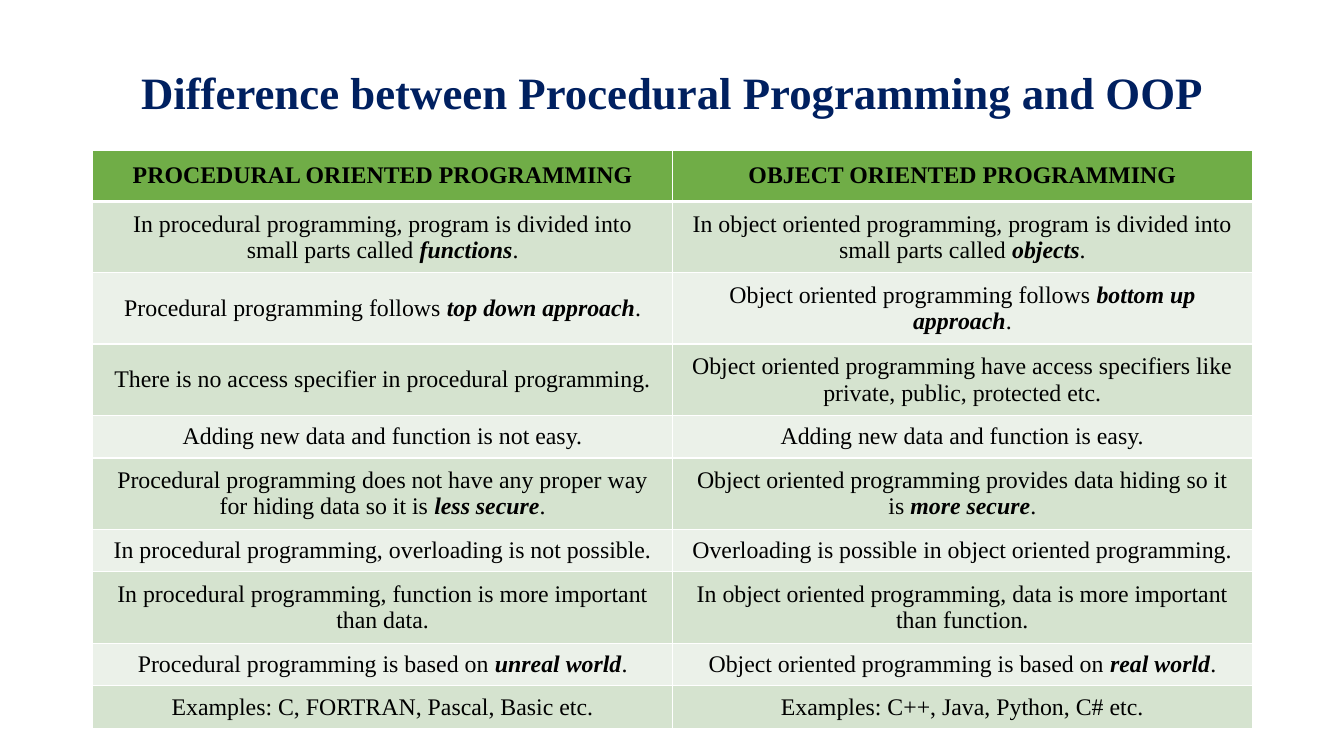
from dataclasses import dataclass

from lxml.etree import SubElement
from pptx import Presentation
from pptx.dml.color import RGBColor
from pptx.enum.text import MSO_ANCHOR, PP_ALIGN
from pptx.oxml import parse_xml
from pptx.oxml.ns import nsdecls
from pptx.util import Inches, Pt


@dataclass(frozen=True)
class Theme:
    """Colours, font and type sizes of the slide."""
    font: str = "Times New Roman"
    navy: str = "002060"
    ink: str = "000000"
    green: str = "70AD47"
    bands: tuple = ("D5E3CF", "EBF1E9")
    rule: str = "FFFFFF"
    title: int = 32
    body: int = 17
    thin: int = 1
    thick: int = 3


THEME = Theme()

TITLE = "Difference between Procedural Programming and OOP"
HEADS = ("PROCEDURAL ORIENTED PROGRAMMING", "OBJECT ORIENTED PROGRAMMING")
# Terms between asterisks are bold italic; \u00a0 ties them to the word before.
ROWS = (
    ("In procedural programming, program is divided into small parts called\u00a0*functions*.",
     "In object oriented programming, program is divided into small parts called\u00a0*objects*."),
    ("Procedural programming follows\u00a0*top down approach*.",
     "Object oriented programming follows\u00a0*bottom up approach*."),
    ("There is no access specifier in procedural programming.",
     "Object oriented programming have access specifiers like private, public, protected etc."),
    ("Adding new data and function is not easy.",
     "Adding new data and function is easy."),
    ("Procedural programming does not have any proper way for hiding data so it is\u00a0*less secure*.",
     "Object oriented programming provides data hiding so it is\u00a0*more secure*."),
    ("In procedural programming, overloading is not possible.",
     "Overloading is possible in object oriented programming."),
    ("In procedural programming, function is more important than data.",
     "In object oriented programming, data is more important than function."),
    ("Procedural programming is based on\u00a0*unreal world*.",
     "Object oriented programming is based on\u00a0*real world*."),
    ("Examples: C, FORTRAN, Pascal, Basic etc.",
     "Examples: C++, Java, Python, C# etc."),
)


def add_run(para, text, size, color, bold=False, slant=False):
    """Add one styled run to a paragraph."""
    run = para.add_run()
    run.text = text
    font = run.font
    font.name, font.size = THEME.font, Pt(size)
    font.bold, font.italic = bold, slant
    font.color.rgb = RGBColor.from_string(color)


def add_title(slide, box):
    """Place the centred title in the box."""
    frame = slide.shapes.add_textbox(*map(Inches, box)).text_frame
    frame.word_wrap = True
    frame.vertical_anchor = MSO_ANCHOR.MIDDLE
    para = frame.paragraphs[0]
    para.alignment = PP_ALIGN.CENTER
    para.line_spacing = 0.9
    add_run(para, TITLE, THEME.title, THEME.navy, bold=True)


def set_edges(cell, top, bottom):
    """Rule the four edges of a cell, ahead of its fill."""
    props = cell._tc.get_or_add_tcPr()
    sides = {"L": THEME.thin, "R": THEME.thin, "T": top, "B": bottom}
    for spot, (side, width) in enumerate(sides.items()):
        line = parse_xml(f'<a:ln{side} {nsdecls("a")} w="{Pt(width)}"/>')
        space = "{%s}" % line.nsmap["a"]
        fill = SubElement(line, space + "solidFill")
        SubElement(fill, space + "srgbClr", val=THEME.rule)
        props.insert(spot, line)


def fill_cell(cell, text, row):
    """Style a cell by its row and write its text run by run."""
    head = row == 0
    cell.fill.solid()
    color = THEME.green if head else THEME.bands[(row - 1) % 2]
    cell.fill.fore_color.rgb = RGBColor.from_string(color)
    set_edges(cell, THEME.thick if row == 1 else THEME.thin,
              THEME.thick if head else THEME.thin)
    cell.vertical_anchor = MSO_ANCHOR.MIDDLE
    cell.margin_left = cell.margin_right = Inches(0.08 if head else 0.15)
    cell.margin_top = cell.margin_bottom = Inches(0.08 if head else 0.07)
    para = cell.text_frame.paragraphs[0]
    para.alignment = PP_ALIGN.CENTER
    for part, piece in enumerate(text.split("*")):
        term = part % 2 == 1
        add_run(para, piece, THEME.body, THEME.ink, head or term, term)


def add_grid(slide, box):
    """Place the comparison table; rows grow with their text."""
    data = (HEADS, *ROWS)
    table = slide.shapes.add_table(len(data), len(HEADS), *map(Inches, box)).table
    table.first_row = table.horz_banding = False
    for col in table.columns:
        col.width = Inches(box[2] / len(HEADS))
    for row, texts in enumerate(data):
        table.rows[row].height = Inches(0.41 if row else 0.51)
        for col, text in enumerate(texts):
            fill_cell(table.cell(row, col), text, row)


def main():
    """Build and save the slide."""
    deck = Presentation()
    deck.slide_width, deck.slide_height = Inches(13.33), Inches(7.5)
    slide = deck.slides.add_slide(deck.slide_layouts[6])
    left, width = 0.92, 11.5
    add_title(slide, (left, 0.4, width, 1.09))
    add_grid(slide, (left, 1.49, width, 4.2))
    deck.save("out.pptx")


main()
